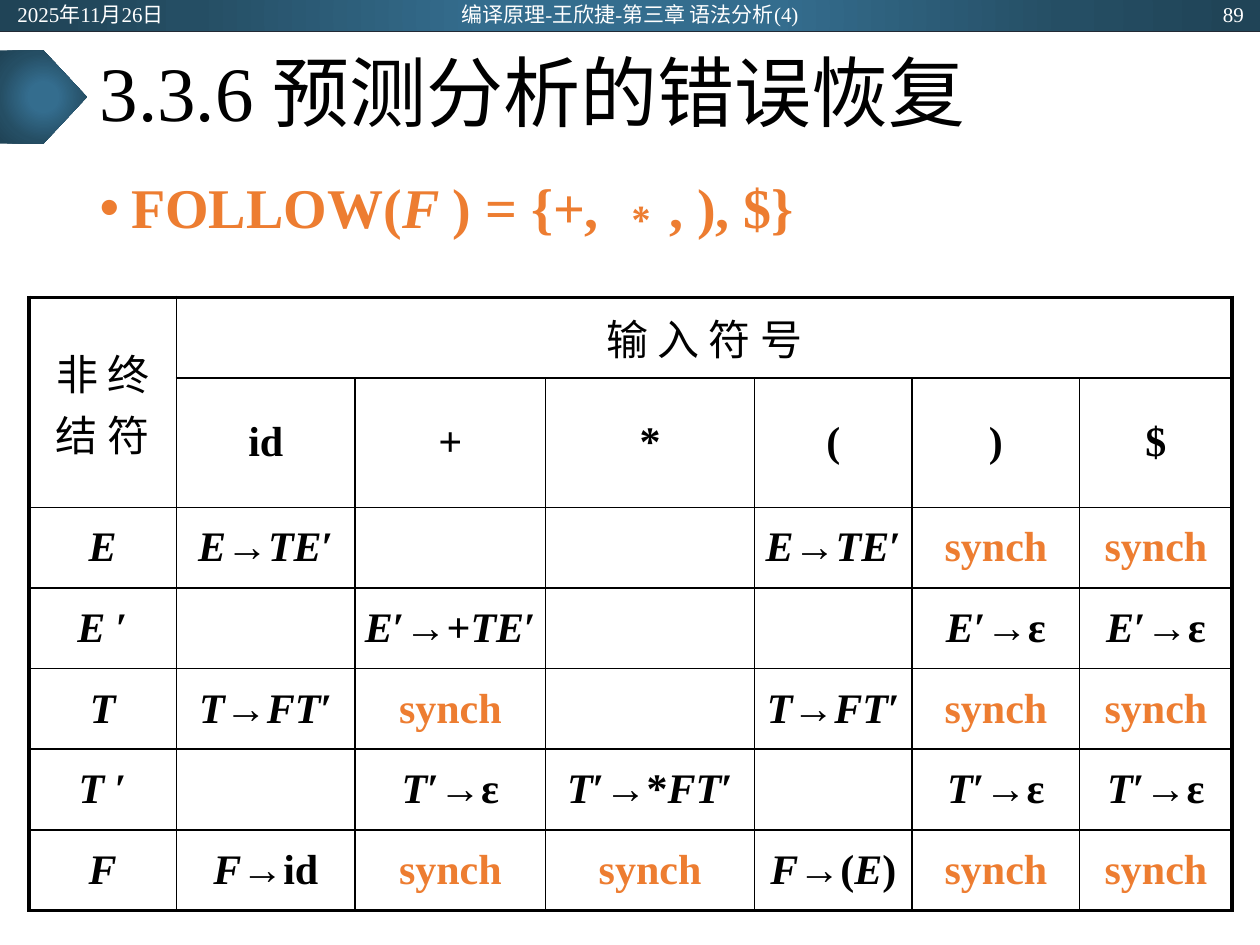
"""Build the predictive-parsing error recovery slide."""
from dataclasses import dataclass
from itertools import groupby

from lxml import etree
from pptx import Presentation, oxml
from pptx import util as u
from pptx.dml.color import RGBColor
from pptx.enum import shapes, text
from pptx.oxml.ns import nsdecls, qn

COLORS = {"ink": "000000", "white": "FFFFFF", "accent": "ED7D31", "rule": "222A35"}
GRADIENT = {0: "346D8E", 23: "346D8E", 69: "254E64", 97: "204457"}
FONT = "Times New Roman"
ALIGN = text.PP_ALIGN
COLUMNS = [1.17, 1.42, 1.51, 1.66, 1.25, 1.33, 1.21]
ROW_HEIGHT = 0.64
NONTERMINALS = "ETF"
ROWS = [
    ["非 终结 符", "输 入 符 号", "", "", "", "", ""],
    ["", "id", "+", "*", "(", ")", "$"],
    ["E", "E→TE′", "", "", "E→TE′", "synch", "synch"],
    ["E ′", "", "E′→+TE′", "", "", "E′→ε", "E′→ε"],
    ["T", "T→FT′", "synch", "", "T→FT′", "synch", "synch"],
    ["T ′", "", "T′→ε", "T′→*FT′", "", "T′→ε", "T′→ε"],
    ["F", "F→id", "synch", "synch", "F→(E)", "synch", "synch"],
]


@dataclass
class HeaderLabel:
    """A line of text in the top band."""
    words: str
    left: float
    width: float
    align: ALIGN


@dataclass
class Panel:
    """A gradient-filled shape of the page frame."""
    kind: shapes.MSO_SHAPE
    top: float
    width: float
    height: float


HEADER = [
    HeaderLabel("2025年11月26日", 0.04, 2.25, ALIGN.LEFT),
    HeaderLabel("编译原理-王欣捷-第三章 语法分析(4)", 3.31, 3.38, ALIGN.CENTER),
    HeaderLabel("89", 7.72, 2.25, ALIGN.RIGHT),
]
PANELS = [
    Panel(shapes.MSO_SHAPE.RECTANGLE, 0, 10, 0.25),
    Panel(shapes.MSO_SHAPE.PENTAGON, 0.4, 0.69, 0.74),
]


def add_text(para, words: str, *, size: float, color: str = "ink",
             bold: bool = False, italic: bool = False) -> None:
    """Append a formatted span to a paragraph."""
    span = para.add_run()
    span.text = words
    font = span.font
    font.name, font.size, font.bold, font.italic = FONT, u.Pt(size), bold, italic
    font.color.rgb = RGBColor.from_string(COLORS[color])


def add_panel(page, panel: Panel) -> None:
    """Draw a frame shape with a radial gradient."""
    box = page.shapes.add_shape(panel.kind, 0, u.Inches(panel.top),
                                u.Inches(panel.width), u.Inches(panel.height))
    box.shadow.inherit = False
    box.line.fill.background()
    stops = "".join(f'<a:gs pos="{stop * 1000}"><a:srgbClr val="{color}"/></a:gs>'
                    for stop, color in GRADIENT.items())
    fill = oxml.parse_xml(
        f'<a:gradFill {nsdecls("a")} rotWithShape="1"><a:gsLst>{stops}</a:gsLst>'
        '<a:path path="circle"><a:fillToRect l="50000" t="50000" r="50000" b="50000"/>'
        '</a:path></a:gradFill>')
    box._element.spPr.find(qn("a:prstGeom")).addnext(fill)


def add_rule(page) -> None:
    """Draw the line under the top band."""
    rule = page.shapes.add_connector(shapes.MSO_CONNECTOR.STRAIGHT, 0, u.Inches(0.25),
                                     u.Inches(10), u.Inches(0.25))
    rule.line.width = u.Pt(0.5)
    rule.line.color.rgb = RGBColor.from_string(COLORS["rule"])
    etree.SubElement(rule._element.spPr, qn("a:effectLst"))


def add_header_label(page, label: HeaderLabel) -> None:
    """Write one label in the top band."""
    box = page.shapes.add_textbox(u.Inches(label.left), u.Inches(0.01),
                                  u.Inches(label.width), u.Inches(0.2))
    frame = box.text_frame
    frame.word_wrap = True
    frame.vertical_anchor = text.MSO_ANCHOR.MIDDLE
    para = frame.paragraphs[0]
    para.alignment = label.align
    add_text(para, label.words, size=12, color="white")


def place(holder, top: float, height: float, anchor: text.MSO_ANCHOR):
    """Move a placeholder and return its first paragraph."""
    holder.left, holder.top = u.Inches(0.69), u.Inches(top)
    holder.width, holder.height = u.Inches(8.62), u.Inches(height)
    frame = holder.text_frame
    frame.auto_size = text.MSO_AUTO_SIZE.NONE
    frame.vertical_anchor = anchor
    para = frame.paragraphs[0]
    para.alignment = ALIGN.LEFT
    para.line_spacing = 0.9
    para.space_before = u.Pt(0)
    return para


def add_bullet(para) -> None:
    """Give a paragraph a round bullet and a hanging indent."""
    properties = para._p.get_or_add_pPr()
    properties.set("marL", str(u.Inches(0.25)))
    properties.set("indent", str(u.Inches(-0.25)))
    etree.SubElement(properties, qn("a:buFont"), typeface="Arial")
    etree.SubElement(properties, qn("a:buChar"), char="•")


def set_borders(cell, thick: dict[str, bool]) -> None:
    """Draw a cell's four borders, thick on the table's outline."""
    properties = cell._tc.get_or_add_tcPr()
    for side, outer in thick.items():
        width = u.Pt(2.25 if outer else 1)
        properties.append(oxml.parse_xml(
            f'<a:ln{side} {nsdecls("a")} w="{width}"><a:solidFill>'
            f'<a:srgbClr val="{COLORS["ink"]}"/></a:solidFill></a:ln{side}>'))


def fill_cell(cell, words: str, bold: bool) -> None:
    """Write a grammar entry with its nonterminals in italics."""
    cell.margin_left = cell.margin_right = u.Inches(0.06)
    cell.margin_top = cell.margin_bottom = u.Inches(0.03)
    cell.vertical_anchor = text.MSO_ANCHOR.MIDDLE
    para = cell.text_frame.paragraphs[0]
    para.alignment = ALIGN.CENTER
    color = "accent" if words == "synch" else "ink"
    for italic, letters in groupby(words, key=lambda letter: letter in NONTERMINALS):
        add_text(para, "".join(letters), size=24, color=color, bold=bold, italic=italic)


def add_parsing_table(page) -> None:
    """Draw the predictive parsing table."""
    table = page.shapes.add_table(
        len(ROWS), len(COLUMNS), u.Inches(0.23), u.Inches(2.36),
        u.Inches(sum(COLUMNS)), u.Inches(ROW_HEIGHT * len(ROWS))).table
    table.first_row = table.horz_banding = False
    for column, width in zip(table.columns, COLUMNS):
        column.width = u.Inches(width)
    table.cell(0, 0).merge(table.cell(1, 0))
    table.cell(0, 1).merge(table.cell(0, len(COLUMNS) - 1))
    for top, entries in enumerate(ROWS):
        table.rows[top].height = u.Inches(ROW_HEIGHT)
        for left, words in enumerate(entries):
            cell = table.cell(top, left)
            across = cell.span_width if cell.is_merge_origin else 1
            down = cell.span_height if cell.is_merge_origin else 1
            set_borders(cell, {"L": left == 0, "R": left + across == len(COLUMNS),
                               "T": top == 0, "B": top + down == len(ROWS)})
            cell.fill.background()
            fill_cell(cell, words, bold=top > 0)


def main() -> None:
    """Build and save the deck."""
    deck = Presentation()
    deck.slide_width, deck.slide_height = u.Inches(10), u.Inches(7.5)
    page = deck.slides.add_slide(deck.slide_layouts[1])
    for panel in PANELS:
        add_panel(page, panel)
    add_rule(page)
    title = place(page.shapes.title, 0.25, 1.04, text.MSO_ANCHOR.MIDDLE)
    add_text(title, "3.3.6 预测分析的错误恢复", size=44)
    body = place(page.placeholders[1], 1.38, 5.38, text.MSO_ANCHOR.TOP)
    add_bullet(body)
    for words, italic in [("FOLLOW(", False), ("F ", True), (") = {+, ∗, ), $}", False)]:
        add_text(body, words, size=32, color="accent", bold=True, italic=italic)
    add_parsing_table(page)
    for label in HEADER:
        add_header_label(page, label)
    deck.save("out.pptx")


if __name__ == "__main__":
    main()
